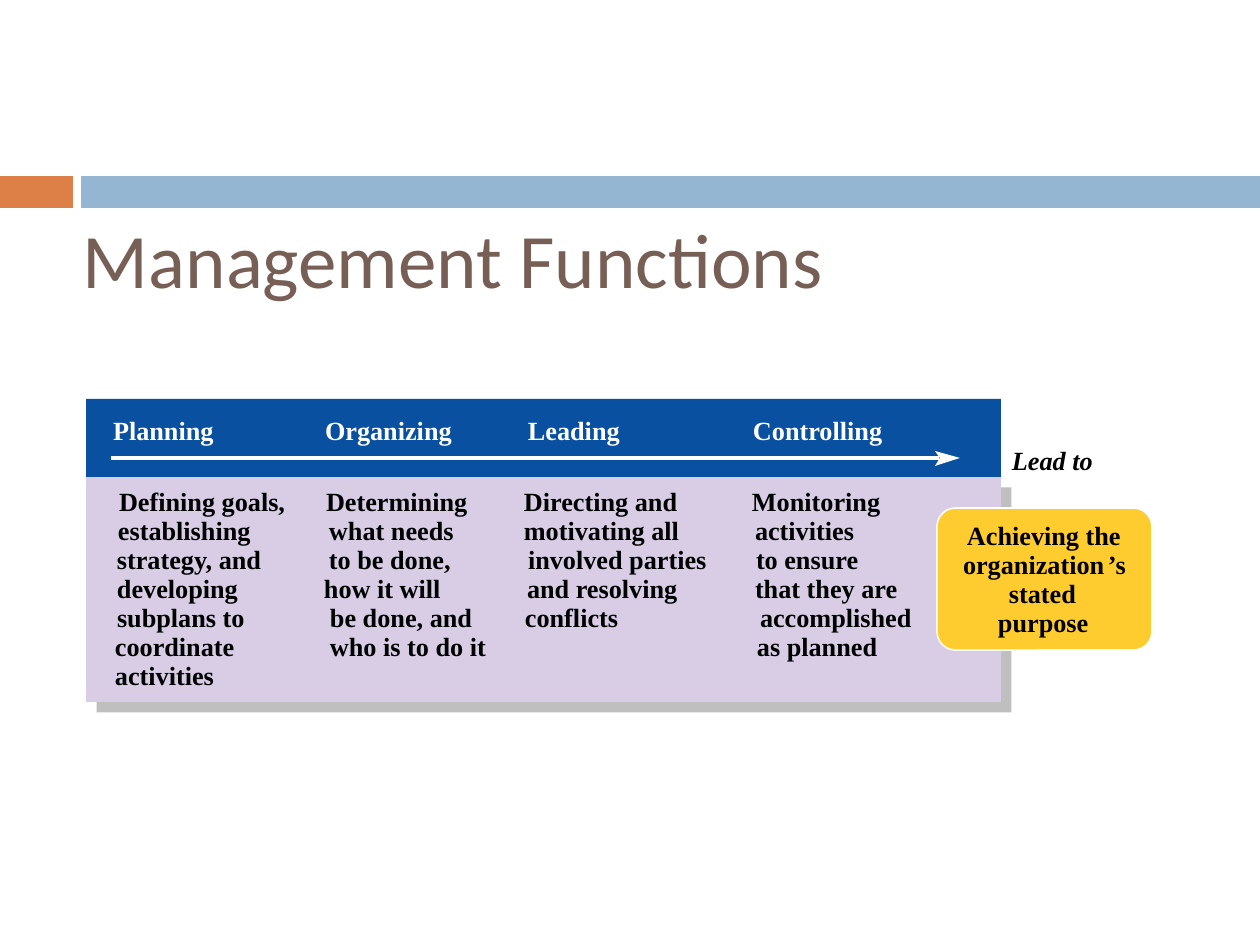
"""Build the slide that lays out the four management functions and the goal they lead to."""
from dataclasses import dataclass

from lxml.etree import SubElement
from pptx import Presentation
from pptx.dml.color import RGBColor
from pptx.enum.shapes import MSO_CONNECTOR as Connector, MSO_SHAPE as Preset
from pptx.enum.text import MSO_ANCHOR as Anchor
from pptx.oxml.ns import qn
from pptx.shapes.autoshape import Shape
from pptx.slide import Slide
from pptx.util import Emu, Pt

EMU_PER_PX = 914400 / 126
LINE_PITCH = 29
LINE_HEIGHT = 31
LINE_SLACK = 6
HEADING_TOP = 414
DUTIES_TOP = 485
GOAL_TOP = 519


@dataclass(frozen=True)
class Theme:
    accent: str = "DD8047"
    band: str = "94B6D2"
    title: str = "775F55"
    header: str = "0A50A1"
    panel: str = "D8CDE5"
    goal: str = "FECC2E"
    shadow: str = "808080"
    light: str = "FFFFFF"
    dark: str = "000000"
    title_font: str = "Calibri"
    body_font: str = "Times New Roman"
    title_size: float = 44
    body_size: float = 15
    arrow_width: float = 1.87
    goal_outline: float = 0.88


@dataclass(frozen=True)
class Box:
    left: int
    top: int
    width: int
    height: int


@dataclass(frozen=True)
class Line:
    text: str
    left: int
    width: int


@dataclass(frozen=True)
class Function:
    heading: Line
    duties: tuple[Line, ...]


THEME = Theme()

FUNCTIONS = (
    Function(Line("Planning", 113, 101), (
        Line("Defining goals,", 119, 166),
        Line("establishing", 118, 132),
        Line("strategy, and", 117, 146),
        Line("developing", 117, 121),
        Line("subplans to", 117, 127),
        Line("coordinate", 115, 120),
        Line("activities", 115, 100),
    )),
    Function(Line("Organizing", 325, 127), (
        Line("Determining", 326, 141),
        Line("what needs", 329, 125),
        Line("to be done,", 329, 122),
        Line("how it will", 324, 117),
        Line("be done, and", 330, 142),
        Line("who is to do it", 330, 156),
    )),
    Function(Line("Leading", 528, 92), (
        Line("Directing and", 524, 154),
        Line("motivating all", 524, 155),
        Line("involved parties", 528, 179),
        Line("and resolving", 527, 151),
        Line("conflicts", 525, 93),
    )),
    Function(Line("Controlling", 753, 130), (
        Line("Monitoring", 752, 129),
        Line("activities", 755, 100),
        Line("to ensure", 756, 103),
        Line("that they are", 755, 142),
        Line("accomplished", 760, 151),
        Line("as planned", 757, 121),
    )),
)

GOAL = (
    Line("Achieving the", 967, 154),
    Line("organization", 963, 141),
    Line("stated", 1009, 67),
    Line("purpose", 998, 91),
)
POSSESSIVE = Line("’s", 1108, 19)
LEAD_TO = Line("Lead to", 1012, 81)
ARROWHEAD = ((940, 458), (935, 451), (960, 458), (935, 466))


def px(length: int) -> Emu:
    return Emu(round(length * EMU_PER_PX))


def place(box: Box) -> tuple[Emu, Emu, Emu, Emu]:
    return px(box.left), px(box.top), px(box.width), px(box.height)


def paint(shape: Shape, color: str) -> None:
    shape.shadow.inherit = False
    shape.fill.solid()
    shape.fill.fore_color.rgb = RGBColor.from_string(color)
    shape.line.fill.background()


def add_block(slide: Slide, box: Box, color: str, preset: Preset = Preset.RECTANGLE) -> Shape:
    block = slide.shapes.add_shape(preset, *place(box))
    paint(block, color)
    return block


def add_drop_shadow(shape: Shape) -> None:
    effects = shape._element.spPr.find(qn("a:effectLst"))
    shadow = SubElement(effects, qn("a:outerShdw"), blurRad="0", dist=str(Pt(8.5)),
                        dir="2700000", algn="ctr", rotWithShape="0")
    color = SubElement(shadow, qn("a:srgbClr"), val=THEME.shadow)
    SubElement(color, qn("a:alpha"), val="50000")


def add_title(slide: Slide, text: str) -> None:
    frame = slide.shapes.add_textbox(*place(Box(53, 200, 1071, 116))).text_frame
    frame.word_wrap = True
    frame.vertical_anchor = Anchor.MIDDLE
    frame.margin_left = px(30)
    run = frame.paragraphs[0].add_run()
    run.text = text
    run.font.name = THEME.title_font
    run.font.size = Pt(THEME.title_size)
    run.font.color.rgb = RGBColor.from_string(THEME.title)


def add_line(slide: Slide, line: Line, top: int, color: str = THEME.dark, italic: bool = False) -> None:
    box = Box(line.left, top, line.width + LINE_SLACK, LINE_HEIGHT)
    frame = slide.shapes.add_textbox(*place(box)).text_frame
    frame.margin_left = frame.margin_top = frame.margin_right = frame.margin_bottom = 0
    frame.word_wrap = True
    run = frame.paragraphs[0].add_run()
    run.text = line.text
    run.font.name = THEME.body_font
    run.font.size = Pt(THEME.body_size)
    run.font.bold = True
    run.font.italic = italic
    run.font.color.rgb = RGBColor.from_string(color)


def add_lines(slide: Slide, lines: tuple[Line, ...], top: int) -> None:
    for row, line in enumerate(lines):
        add_line(slide, line, top + row * LINE_PITCH)


def add_arrow(slide: Slide) -> None:
    shaft = slide.shapes.add_connector(Connector.STRAIGHT, px(111), px(458), px(939), px(458))
    shaft.line.color.rgb = RGBColor.from_string(THEME.light)
    shaft.line.width = Pt(THEME.arrow_width)
    SubElement(shaft._element.spPr, qn("a:effectLst"))
    outline = slide.shapes.build_freeform(*ARROWHEAD[0], scale=EMU_PER_PX)
    outline.add_line_segments(ARROWHEAD[1:], close=True)
    paint(outline.convert_to_shape(), THEME.light)


def add_goal(slide: Slide) -> None:
    goal = add_block(slide, Box(937, 508, 215, 142), THEME.goal, Preset.ROUNDED_RECTANGLE)
    goal.adjustments[0] = 0.13
    goal.line.color.rgb = RGBColor.from_string(THEME.light)
    goal.line.width = Pt(THEME.goal_outline)
    add_lines(slide, GOAL, GOAL_TOP)
    add_line(slide, POSSESSIVE, GOAL_TOP + LINE_PITCH)


def main() -> None:
    deck = Presentation()
    deck.slide_width, deck.slide_height = px(1260), px(945)
    slide = deck.slides.add_slide(deck.slide_layouts[6])
    add_block(slide, Box(0, 176, 73, 32), THEME.accent)
    add_block(slide, Box(81, 176, 1179, 32), THEME.band)
    add_title(slide, "Management Functions")
    add_drop_shadow(add_block(slide, Box(86, 477, 915, 225), THEME.panel))
    add_block(slide, Box(86, 399, 915, 78), THEME.header)
    for function in FUNCTIONS:
        add_line(slide, function.heading, HEADING_TOP, THEME.light)
        add_lines(slide, function.duties, DUTIES_TOP)
    add_arrow(slide)
    add_line(slide, LEAD_TO, 444, italic=True)
    add_goal(slide)
    deck.save("out.pptx")


if __name__ == "__main__":
    main()
